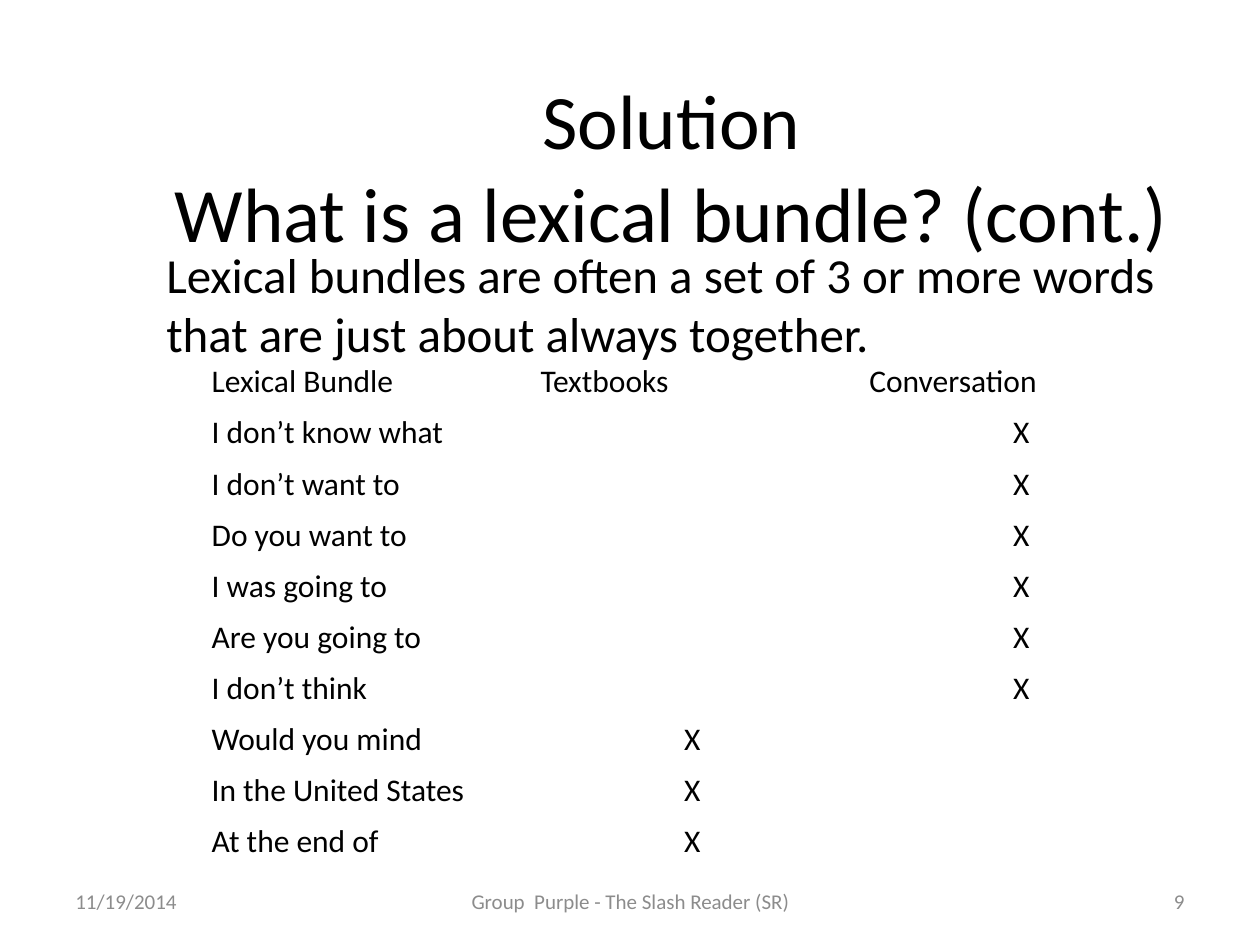
from typing import NamedTuple

from pptx import Presentation
from pptx.dml.color import RGBColor
from pptx.enum.text import MSO_ANCHOR, MSO_AUTO_SIZE, PP_ALIGN
from pptx.oxml.ns import qn
from pptx.oxml.xmlchemy import OxmlElement
from pptx.util import Inches, Pt

BLACK = RGBColor(0x00, 0x00, 0x00)
GRAY = RGBColor(0x8C, 0x8C, 0x8C)
FONT = "Calibri"
NO_STYLE_NO_GRID = "{2D5ABB26-0587-4C30-8999-92F81FD0307C}"
BORDER_TAGS = ("a:lnL", "a:lnR", "a:lnT", "a:lnB")


class Box(NamedTuple):
    left: float
    top: float
    width: float
    height: float


class FooterItem(NamedTuple):
    text: str
    box: Box
    alignment: PP_ALIGN


class Bundle(NamedTuple):
    phrase: str
    textbooks: str = ""
    conversation: str = ""


TITLE_BOX = Box(1.22, 0.35, 8.22, 1.92)
BODY_BOX = Box(1.22, 1.89, 8.37, 1.2)
TABLE_BOX = Box(1.58, 2.83, 7.83, 4)

FOOTER = [
    FooterItem("11/19/2014", Box(0.5, 6.95, 2.33, 0.4), PP_ALIGN.LEFT),
    FooterItem("Group  Purple - The Slash Reader (SR)", Box(3.42, 6.95, 3.17, 0.4), PP_ALIGN.CENTER),
    FooterItem("9", Box(7.17, 6.95, 2.33, 0.4), PP_ALIGN.RIGHT),
]

HEADER = Bundle("Lexical Bundle", "Textbooks", "Conversation")
BUNDLES = [
    Bundle("I don’t know what", conversation="X"),
    Bundle("I don’t want to", conversation="X"),
    Bundle("Do you want to", conversation="X"),
    Bundle("I was going to", conversation="X"),
    Bundle("Are you going to", conversation="X"),
    Bundle("I don’t think", conversation="X"),
    Bundle("Would you mind", textbooks="X"),
    Bundle("In the United States", textbooks="X"),
    Bundle("At the end of", textbooks="X"),
]


def set_attributes(target, values: dict) -> None:
    for name, value in values.items():
        setattr(target, name, value)


def place(shape, box: Box) -> None:
    set_attributes(shape, {name: Inches(value) for name, value in box._asdict().items()})


def write(text_frame, text: str, size: float, color: RGBColor, alignment: PP_ALIGN) -> None:
    text_frame.text = text
    paragraph = text_frame.paragraphs[0]
    paragraph.alignment = alignment
    for item in (paragraph, *paragraph.runs):
        set_attributes(item.font, {"size": Pt(size), "name": FONT})
        item.font.color.rgb = color


def fill_text_shape(shape, box: Box, text: str, size: float, color: RGBColor,
                    alignment: PP_ALIGN, anchor: MSO_ANCHOR) -> None:
    place(shape, box)
    write(shape.text_frame, text, size, color, alignment)
    set_attributes(shape.text_frame, {
        "word_wrap": True,
        "auto_size": MSO_AUTO_SIZE.NONE,
        "vertical_anchor": anchor,
    })


def remove_bullet(paragraph) -> None:
    properties = paragraph._p.get_or_add_pPr()
    properties.set("marL", "0")
    properties.set("indent", "0")
    properties.append(OxmlElement("a:buNone"))


def remove_borders(cell) -> None:
    """Turn off all four borders; they must come before the cell's fill."""
    properties = cell._tc.get_or_add_tcPr()
    for index, tag in enumerate(BORDER_TAGS):
        border = OxmlElement(tag)
        border.append(OxmlElement("a:noFill"))
        properties.insert(index, border)


def add_bundle_table(slide, box: Box, rows: list[Bundle]) -> None:
    lengths = [Inches(value) for value in box]
    table = slide.shapes.add_table(len(rows), len(HEADER), *lengths).table
    set_attributes(table, {"first_row": False, "horz_banding": False})
    table._tbl.tblPr.find(qn("a:tableStyleId")).text = NO_STYLE_NO_GRID
    for row_index, row in enumerate(rows):
        for column_index, text in enumerate(row):
            cell = table.cell(row_index, column_index)
            cell.fill.background()
            remove_borders(cell)
            alignment = PP_ALIGN.CENTER if text == "X" else PP_ALIGN.LEFT
            write(cell.text_frame, text, 18, BLACK, alignment)


def main() -> None:
    presentation = Presentation()
    set_attributes(presentation, {"slide_width": Inches(10), "slide_height": Inches(7.5)})
    slide = presentation.slides.add_slide(presentation.slide_layouts[1])

    fill_text_shape(slide.shapes.title, TITLE_BOX,
                    "Solution\vWhat is a lexical bundle? (cont.)",
                    44, BLACK, PP_ALIGN.CENTER, MSO_ANCHOR.MIDDLE)

    body = slide.placeholders[1]
    fill_text_shape(body, BODY_BOX,
                    "Lexical bundles are often a set of 3 or more words "
                    "that are just about always together.",
                    28, BLACK, PP_ALIGN.LEFT, MSO_ANCHOR.TOP)
    remove_bullet(body.text_frame.paragraphs[0])

    for item in FOOTER:
        text_box = slide.shapes.add_textbox(0, 0, 0, 0)
        fill_text_shape(text_box, item.box, item.text, 12, GRAY, item.alignment, MSO_ANCHOR.MIDDLE)

    add_bundle_table(slide, TABLE_BOX, [HEADER, *BUNDLES])
    presentation.save("out.pptx")


if __name__ == "__main__":
    main()
